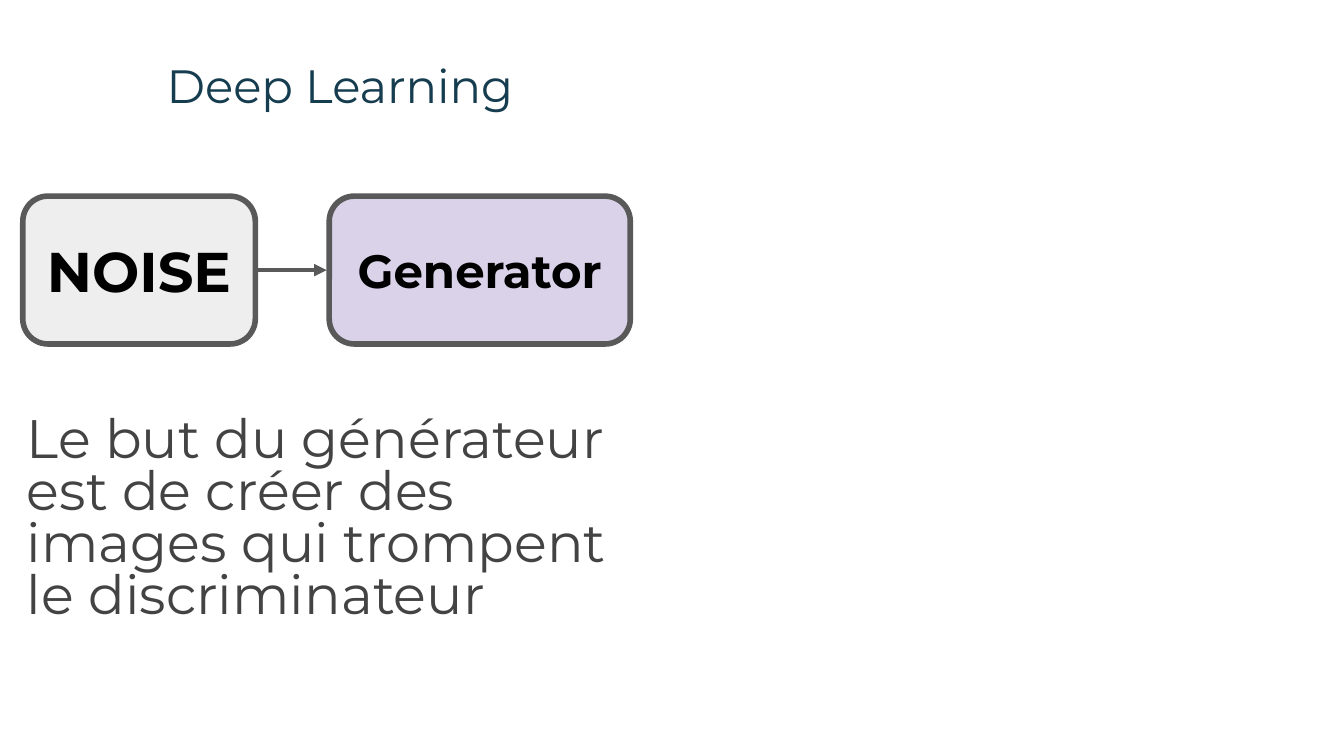
from lxml.etree import SubElement
from pptx import Presentation
from pptx.dml.color import RGBColor
from pptx.enum.shapes import MSO_CONNECTOR, MSO_SHAPE
from pptx.enum.text import MSO_ANCHOR, MSO_AUTO_SIZE, PP_ALIGN
from pptx.oxml.ns import qn
from pptx.util import Pt

# Content: lengths in px, 100 to the inch
PX = 9144
WIDE = 1000
FONT = "Montserrat"
GREY = "595959"
TITLE = ("Deep Learning", (114, 32, 852, 63), 25, "153C4F")
BODY = ("Le but du générateur est de créer des images qui trompent "
        "le discriminateur", (10, 300, 474, 181), 29, "434343")
TOP, HIGH = 146, 110
STEPS = [  # text, left, width, text size, fill
    ("NOISE", 17, 173, 30, "EEEEEE"),
    ("Generator", 245, 224, 25, "D9D2E9"),
]


def rgb(code):
    return RGBColor.from_string(code)


def write(shape, text, size, color, bold=False,
          align=PP_ALIGN.LEFT, anchor=MSO_ANCHOR.TOP):
    frame = shape.text_frame
    frame.text = text
    frame.word_wrap = True
    frame.auto_size = MSO_AUTO_SIZE.NONE
    frame.vertical_anchor = anchor
    frame.margin_left = frame.margin_right = 10 * PX
    frame.margin_top = frame.margin_bottom = 10 * PX
    para = frame.paragraphs[0]
    para.alignment = align
    font = para.runs[0].font
    font.name, font.size, font.bold = FONT, Pt(size), bold
    font.color.rgb = rgb(color)
    return para


def place(shape, box):
    shape.left, shape.top, shape.width, shape.height = [n * PX for n in box]


def outline(shape, width):
    shape.line.color.rgb = rgb(GREY)
    shape.line.width = Pt(width)


def add_step(slide, text, left, width, size, fill):
    box = slide.shapes.add_shape(
        MSO_SHAPE.ROUNDED_RECTANGLE,
        *[n * PX for n in (left, TOP, width, HIGH)])
    box.adjustments[0] = 0.17
    box.shadow.inherit = False
    box.fill.solid()
    box.fill.fore_color.rgb = rgb(fill)
    outline(box, 3)
    write(box, text, size, "000000", True, PP_ALIGN.CENTER, MSO_ANCHOR.MIDDLE)


def add_arrow(slide, start, end):
    mid = TOP + HIGH // 2
    arrow = slide.shapes.add_connector(
        MSO_CONNECTOR.STRAIGHT, *[n * PX for n in (start, mid, end, mid)])
    outline(arrow, 2.25)
    props = arrow._element.spPr
    SubElement(props.find(qn("a:ln")), qn("a:tailEnd"), type="triangle")
    SubElement(props, qn("a:effectLst"))


def main():
    # A 16:9 slide
    deck = Presentation()
    deck.slide_width = WIDE * PX
    deck.slide_height = WIDE * PX * 9 // 16
    slide = deck.slides.add_slide(deck.slide_layouts[1])

    # Title and body
    for shape, (text, box, size, color) in zip(slide.placeholders,
                                               (TITLE, BODY)):
        place(shape, box)
        para = write(shape, text, size, color)
    para.line_spacing = 0.8
    para.space_before, para.space_after = Pt(0), Pt(16)
    props = para._p.get_or_add_pPr()
    props.set("marL", "0")
    props.set("indent", "0")
    SubElement(props, qn("a:buNone"))

    # Steps, with an arrow across each gap
    for step in STEPS:
        add_step(slide, *step)
    for now, then in zip(STEPS, STEPS[1:]):
        add_arrow(slide, now[1] + now[2], then[1] - 2)

    deck.save("out.pptx")


if __name__ == "__main__":
    main()
